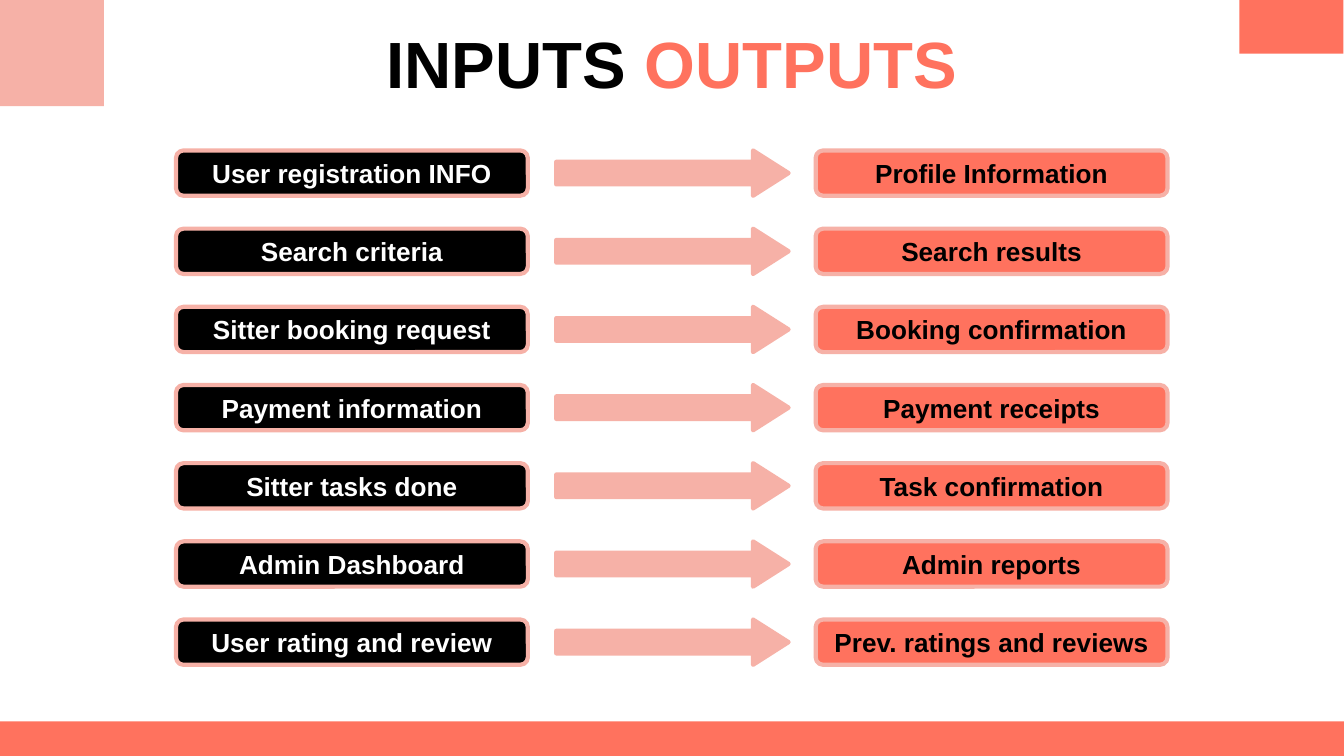
from dataclasses import dataclass

from lxml.etree import SubElement
from pptx import Presentation
from pptx.dml.color import RGBColor
from pptx.enum.shapes import MSO_SHAPE
from pptx.enum.text import MSO_ANCHOR, PP_ALIGN
from pptx.oxml.ns import qn
from pptx.util import Pt

BLACK, WHITE, CORAL, PINK = "000000", "FFFFFF", "FF725E", "F6B1A7"
FIRST_TOP, ROW_STEP, ROW_HEIGHT = 80.6, 41.88, 24.3
INPUT_LEFT, ARROW_LEFT, OUTPUT_LEFT = 94.3, 298, 437
LABEL_WIDTH, ARROW_WIDTH = 188.5, 124.5


@dataclass(frozen=True)
class Box:
    left: float
    top: float
    width: float
    height: float

    def lengths(self):
        return [Pt(n) for n in (self.left, self.top, self.width, self.height)]


@dataclass(frozen=True)
class Flow:
    source: str
    result: str


FLOWS = [
    Flow("User registration INFO", "Profile Information"),
    Flow("Search criteria", "Search results"),
    Flow("Sitter booking request", "Booking confirmation"),
    Flow("Payment information", "Payment receipts"),
    Flow("Sitter tasks done", "Task confirmation"),
    Flow("Admin Dashboard", "Admin reports"),
    Flow("User rating and review", "Prev. ratings and reviews"),
]


def colour(value: str) -> RGBColor:
    return RGBColor.from_string(value)


def add_shape(slide, kind, box: Box, fill: str, outline: str = "", adjustments=()):
    shape = slide.shapes.add_shape(kind, *box.lengths())
    shape.shadow.inherit = False
    shape.fill.solid()
    shape.fill.fore_color.rgb = colour(fill)
    if outline:
        shape.line.color.rgb = colour(outline)
        shape.line.width = Pt(2.25)
        SubElement(shape._element.spPr.find(qn("a:ln")), qn("a:round"))
    else:
        shape.line.fill.background()
    for index, value in enumerate(adjustments):
        shape.adjustments[index] = value
    return shape


def write(shape, text: str, *, size: float, color: str) -> None:
    frame = shape.text_frame
    frame.word_wrap = True
    frame.vertical_anchor = MSO_ANCHOR.MIDDLE
    frame.margin_left = frame.margin_right = Pt(7.2)
    frame.margin_top = frame.margin_bottom = Pt(7.2)
    paragraph = frame.paragraphs[0]
    paragraph.alignment = PP_ALIGN.CENTER
    run = paragraph.add_run()
    run.text = text
    run.font.name = "Arial"
    run.font.size = Pt(size)
    run.font.bold = True
    run.font.color.rgb = colour(color)


def add_label(slide, text: str, left: float, top: float, fill: str, color: str) -> None:
    box = Box(left, top, LABEL_WIDTH, ROW_HEIGHT)
    label = add_shape(slide, MSO_SHAPE.ROUNDED_RECTANGLE, box, fill, PINK, [0.167])
    write(label, text, size=14, color=color)


def add_flow(slide, flow: Flow, top: float) -> None:
    add_label(slide, flow.source, INPUT_LEFT, top, BLACK, WHITE)
    arrow = Box(ARROW_LEFT, top, ARROW_WIDTH, ROW_HEIGHT)
    add_shape(slide, MSO_SHAPE.RIGHT_ARROW, arrow, PINK, PINK, [0.5, 0.785])
    add_label(slide, flow.result, OUTPUT_LEFT, top, CORAL, BLACK)


def main() -> None:
    deck = Presentation()
    deck.slide_width, deck.slide_height = Pt(720), Pt(405)
    slide = deck.slides.add_slide(deck.slide_layouts[6])

    add_shape(slide, MSO_SHAPE.RECTANGLE, Box(0, 386.5, 720, 18.5), CORAL)
    add_shape(slide, MSO_SHAPE.RECTANGLE, Box(664, 0, 55.7, 28.8), CORAL)
    add_shape(slide, MSO_SHAPE.RECTANGLE, Box(0, 0, 55.7, 56.9), PINK)

    title = slide.shapes.add_textbox(*Box(47, 16, 626, 35.3).lengths())
    write(title, "INPUTS ", size=35, color=BLACK)
    write(title, "OUTPUTS", size=35, color=CORAL)

    for row, flow in enumerate(FLOWS):
        add_flow(slide, flow, FIRST_TOP + row * ROW_STEP)

    deck.save("out.pptx")


if __name__ == "__main__":
    main()
